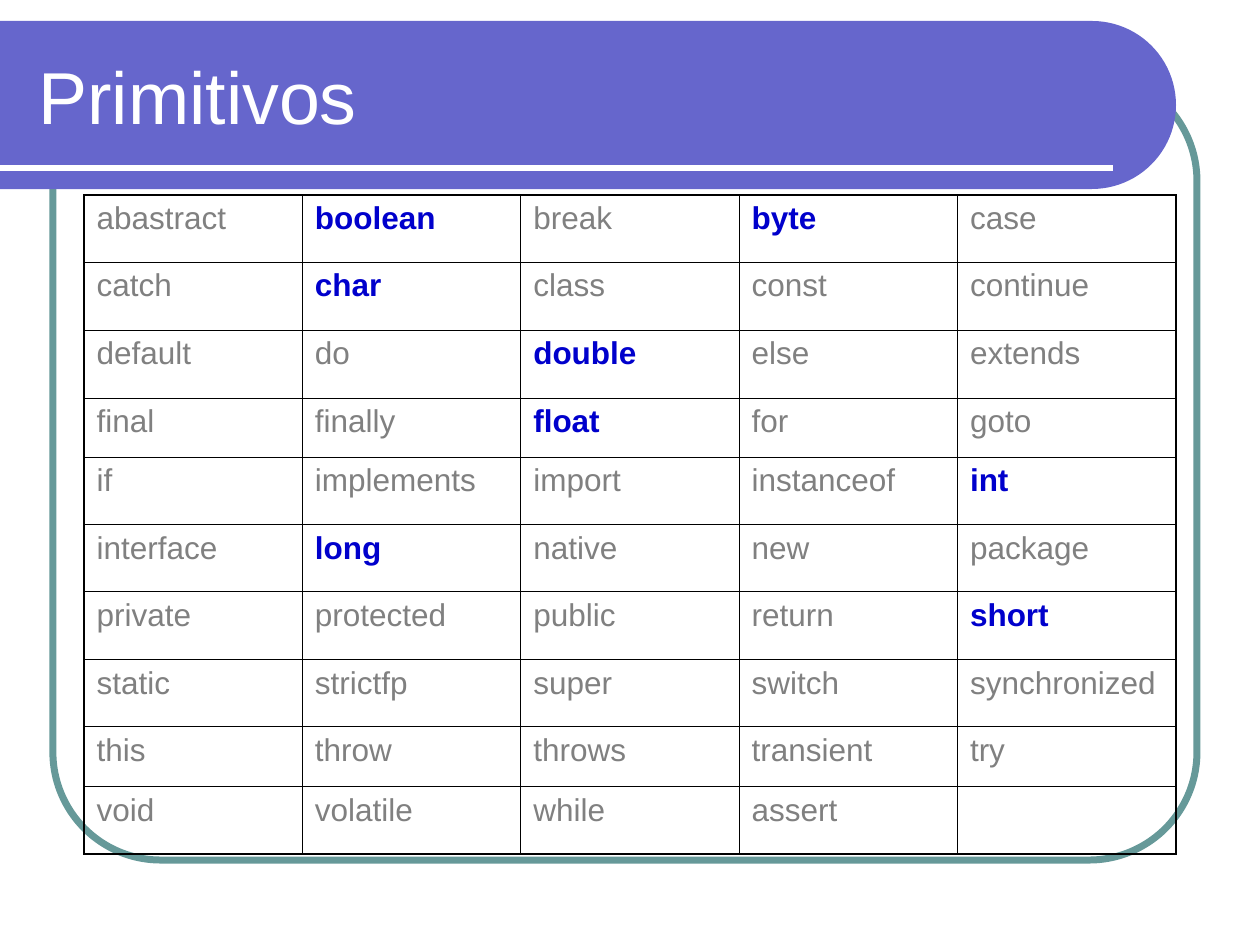
from dataclasses import dataclass
from itertools import pairwise
from math import cos, pi, sin

from lxml.etree import SubElement
from pptx import Presentation
from pptx.dml.color import RGBColor
from pptx.enum.shapes import MSO_CONNECTOR, MSO_SHAPE
from pptx.enum.text import MSO_ANCHOR
from pptx.oxml import parse_xml
from pptx.oxml.ns import nsdecls, qn
from pptx.util import Emu, Pt

PX_PER_INCH = 126
FONT = "Arial"
VIOLET, TEAL, WHITE = "6666CC", "669999", "FFFFFF"
GREY, BLUE, BLACK = "808080", "0000CC", "000000"
THIN, THICK = 0.45, 1.08

KEYWORDS = (
    ("abastract", "boolean", "break", "byte", "case"),
    ("catch", "char", "class", "const", "continue"),
    ("default", "do", "double", "else", "extends"),
    ("final", "finally", "float", "for", "goto"),
    ("if", "implements", "import", "instanceof", "int"),
    ("interface", "long", "native", "new", "package"),
    ("private", "protected", "public", "return", "short"),
    ("static", "strictfp", "super", "switch", "synchronized"),
    ("this", "throw", "throws", "transient", "try"),
    ("void", "volatile", "while", "assert", ""),
)
PRIMITIVES = {"boolean", "byte", "char", "double", "float", "int", "long", "short"}
ROW_EDGES = (195, 262, 330, 398, 457, 525, 592, 660, 727, 787, 854)


@dataclass(frozen=True)
class Box:
    left: int
    top: int
    width: int
    height: int

    def emu(self) -> tuple[Emu, ...]:
        return tuple(map(px, (self.left, self.top, self.width, self.height)))


FRAME = Box(53, 73, 1144, 787)
BANNER = Box(0, 21, 1176, 168)
TITLE = Box(26, 32, 1105, 126)
GRID = Box(84, ROW_EDGES[0], 1092, ROW_EDGES[-1] - ROW_EDGES[0])


def px(length: float) -> Emu:
    return Emu(round(length * 914400 / PX_PER_INCH))


def color(hex_code: str) -> RGBColor:
    return RGBColor.from_string(hex_code)


def write(text_frame, text: str, *, size: float, fill: str,
          bold: bool = False, before: float = 0) -> None:
    paragraph = text_frame.paragraphs[0]
    paragraph.space_before = Pt(before)
    run = paragraph.add_run()
    run.text = text
    run.font.name = FONT
    run.font.size = Pt(size)
    run.font.bold = bold
    run.font.color.rgb = color(fill)


def draw_frame(slide, box: Box) -> None:
    frame = slide.shapes.add_shape(MSO_SHAPE.ROUNDED_RECTANGLE, *box.emu())
    frame.adjustments[0] = 0.137
    frame.shadow.inherit = False
    frame.fill.background()
    frame.line.color.rgb = color(TEAL)
    frame.line.width = Pt(4)


def draw_banner(slide, box: Box, steps: int = 48) -> None:
    radius = box.height / 2
    center_x, center_y = box.left + box.width - radius, box.top + radius
    angles = [pi * step / steps - pi / 2 for step in range(steps + 1)]
    curve = [(px(center_x + radius * cos(a)), px(center_y + radius * sin(a))) for a in angles]
    outline = slide.shapes.build_freeform(px(box.left), px(box.top), scale=1.0)
    outline.add_line_segments([*curve, (px(box.left), px(box.top + box.height))], close=True)
    banner = outline.convert_to_shape()
    banner.shadow.inherit = False
    banner.fill.solid()
    banner.fill.fore_color.rgb = color(VIOLET)
    banner.line.fill.background()


def draw_rule(slide, left: int, right: int, y: int) -> None:
    rule = slide.shapes.add_connector(MSO_CONNECTOR.STRAIGHT, px(left), px(y), px(right), px(y))
    rule.line.color.rgb = color(WHITE)
    rule.line.width = Pt(3)
    SubElement(rule._element.spPr, qn("a:effectLst"))


def draw_title(slide, box: Box, text: str) -> None:
    title = slide.shapes.add_textbox(*box.emu()).text_frame
    title.word_wrap = True
    title.vertical_anchor = MSO_ANCHOR.MIDDLE
    write(title, text, size=42, fill=WHITE)


def set_borders(cell, widths: dict[str, float]) -> None:
    properties = cell._tc.get_or_add_tcPr()
    for position, (side, width) in enumerate(widths.items()):
        properties.insert(position, parse_xml(
            f'<a:ln{side} {nsdecls("a")} w="{Pt(width)}"><a:solidFill>'
            f'<a:srgbClr val="{BLACK}"/></a:solidFill></a:ln{side}>'))


def draw_keywords(slide, box: Box) -> None:
    row_count, column_count = len(KEYWORDS), len(KEYWORDS[0])
    table = slide.shapes.add_table(row_count, column_count, *box.emu()).table
    table.first_row = table.horz_banding = False
    for column in table.columns:
        column.width = px(box.width / column_count)
    for row, (top, bottom) in zip(table.rows, pairwise(ROW_EDGES)):
        row.height = px(bottom - top)
    for r, words in enumerate(KEYWORDS):
        for c, word in enumerate(words):
            cell = table.cell(r, c)
            cell.fill.background()
            set_borders(cell, {
                "L": THICK if c == 0 else THIN,
                "R": THICK if c == column_count - 1 else THIN,
                "T": THICK if r == 0 else THIN,
                "B": THICK if r == row_count - 1 else THIN,
            })
            if word:
                primitive = word in PRIMITIVES
                write(cell.text_frame, word, size=18, before=4.5,
                      fill=BLUE if primitive else GREY, bold=primitive)


def main() -> None:
    presentation = Presentation()
    presentation.slide_width = px(1260)
    presentation.slide_height = px(945)
    slide = presentation.slides.add_slide(presentation.slide_layouts[6])
    draw_frame(slide, FRAME)
    draw_banner(slide, BANNER)
    draw_rule(slide, 0, 1113, 168)
    draw_title(slide, TITLE, "Primitivos")
    draw_keywords(slide, GRID)
    presentation.save("out.pptx")


if __name__ == "__main__":
    main()
